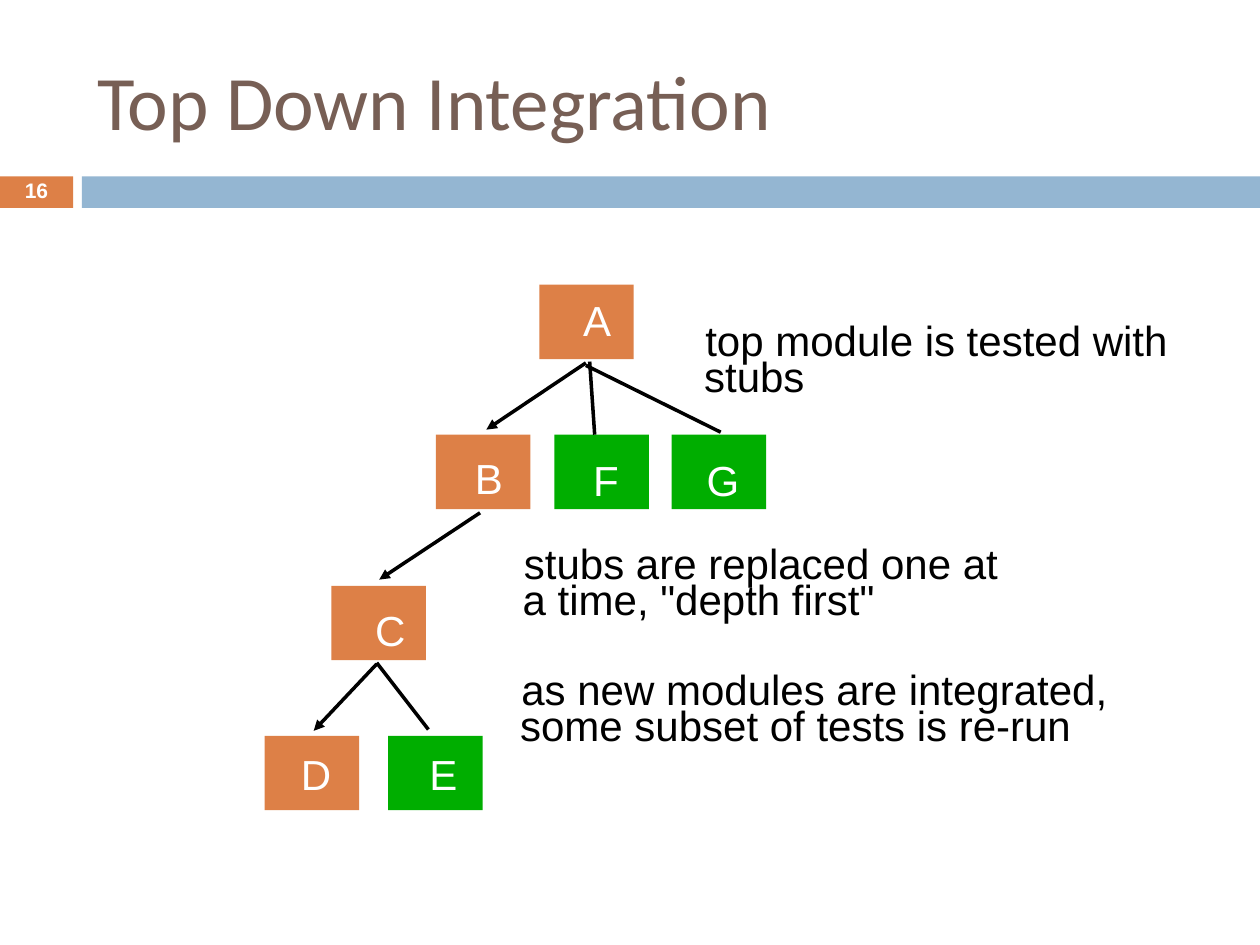
from dataclasses import dataclass

from lxml import etree
from pptx import Presentation
from pptx import util as u
from pptx.dml import color
from pptx.enum import shapes, text
from pptx.oxml import ns


@dataclass(frozen=True)
class Theme:
    done: str = "DD8047"
    stub: str = "00AE00"
    bar: str = "94B6D2"
    title: str = "775F55"
    ink: str = "000000"
    pale: str = "FFFFFF"
    head: int = 44
    body: int = 24
    small: int = 12


theme = Theme()
rgb = color.RGBColor.from_string
prs = Presentation()
prs.slide_width, prs.slide_height = u.Inches(10), u.Inches(7.5)
slide = prs.slides.add_slide(prs.slide_layouts[5])


def add_rect(left, top, width, height, fill):
    rect = slide.shapes.add_shape(
        shapes.MSO_SHAPE.RECTANGLE, *map(u.Inches, (left, top, width, height)))
    rect.shadow.inherit = False
    rect.fill.solid()
    rect.fill.fore_color.rgb = rgb(fill)
    rect.line.fill.background()


def add_text(box, words, place, size, tint, face="Arial"):
    box.left, box.top, box.width, box.height = map(u.Inches, place)
    frame = box.text_frame
    para = frame.paragraphs[0]
    run = para.add_run()
    run.text = words
    run.font.size = u.Pt(size)
    run.font.name = face
    run.font.color.rgb = rgb(tint)
    return frame, para, run


add_rect(0, 1.4, 0.58, 0.25, theme.done)
add_rect(0.65, 1.4, 9.35, 0.25, theme.bar)

frame, para, run = add_text(slide.shapes.title, "Top Down Integration",
                            (0.67, 0.25, 8.92, 1.08), theme.head, theme.title, "Calibri")
frame.vertical_anchor = text.MSO_ANCHOR.MIDDLE
para.alignment = text.PP_ALIGN.LEFT

page = slide.shapes.add_textbox(0, 0, 0, 0)
frame, para, run = add_text(page, "16", (0, 1.39, 0.58, 0.27), theme.small, theme.pale)
frame.word_wrap = True
frame.vertical_anchor = text.MSO_ANCHOR.MIDDLE
para.alignment = text.PP_ALIGN.CENTER
para.line_spacing = 0.8
run.font.bold = True

rows = (2.26, 3.45, 4.65, 5.84)
nodes = [
    ("A", 4.28, 0, theme.done, 4.53, 2.29, 0.42),
    ("B", 3.46, 1, theme.done, 3.67, 3.54, 0.42),
    ("C", 2.63, 2, theme.done, 2.88, 4.75, 0.44),
    ("D", 2.1, 3, theme.done, 2.29, 5.89, 0.44),
    ("E", 3.08, 3, theme.stub, 3.31, 5.89, 0.42),
    ("F", 4.4, 1, theme.stub, 4.61, 3.56, 0.4),
    ("G", 5.33, 1, theme.stub, 5.51, 3.56, 0.46),
]
for name, left, row, fill, *spot in nodes:
    add_rect(left, rows[row], 0.75, 0.59, fill)

notes = [
    ("top module is tested with", 5.5, 2.45, 3.96),
    ("stubs", 5.49, 2.73, 1),
    ("stubs are replaced one at", 4.06, 4.22, 4.05),
    ('a time, "depth first"', 4.05, 4.5, 2.99),
    ("as new modules are integrated,", 4.04, 5.22, 4.94),
    ("some subset of tests is re-run", 4.03, 5.5, 4.57),
]
labels = [(words, *spot, theme.ink) for words, *spot in notes]
labels += [(node[0], *node[4:], theme.pale) for node in nodes]
for words, left, top, width, tint in labels:
    box = slide.shapes.add_textbox(0, 0, 0, 0)
    frame, para, run = add_text(box, words, (left, top, width, 0.5), theme.body, tint)
    frame.word_wrap = False
    frame.auto_size = text.MSO_AUTO_SIZE.SHAPE_TO_FIT_TEXT

links = [
    (2.99, 5.26, 3.4, 5.79, False),
    (4.68, 2.87, 4.72, 3.45, False),
    (4.65, 2.9, 5.72, 3.43, False),
    (4.65, 2.88, 3.86, 3.41, True),
    (3.81, 4.07, 3.01, 4.6, True),
    (2.99, 5.27, 2.49, 5.8, True),
]
for *ends, arrow in links:
    link = slide.shapes.add_connector(shapes.MSO_CONNECTOR.STRAIGHT, *map(u.Inches, ends))
    link.line.color.rgb = rgb(theme.ink)
    link.line.width = u.Pt(2)
    if arrow:
        etree.SubElement(link.line._get_or_add_ln(), ns.qn("a:tailEnd"), type="triangle")
    etree.SubElement(link._element.spPr, ns.qn("a:effectLst"))

prs.save("out.pptx")
